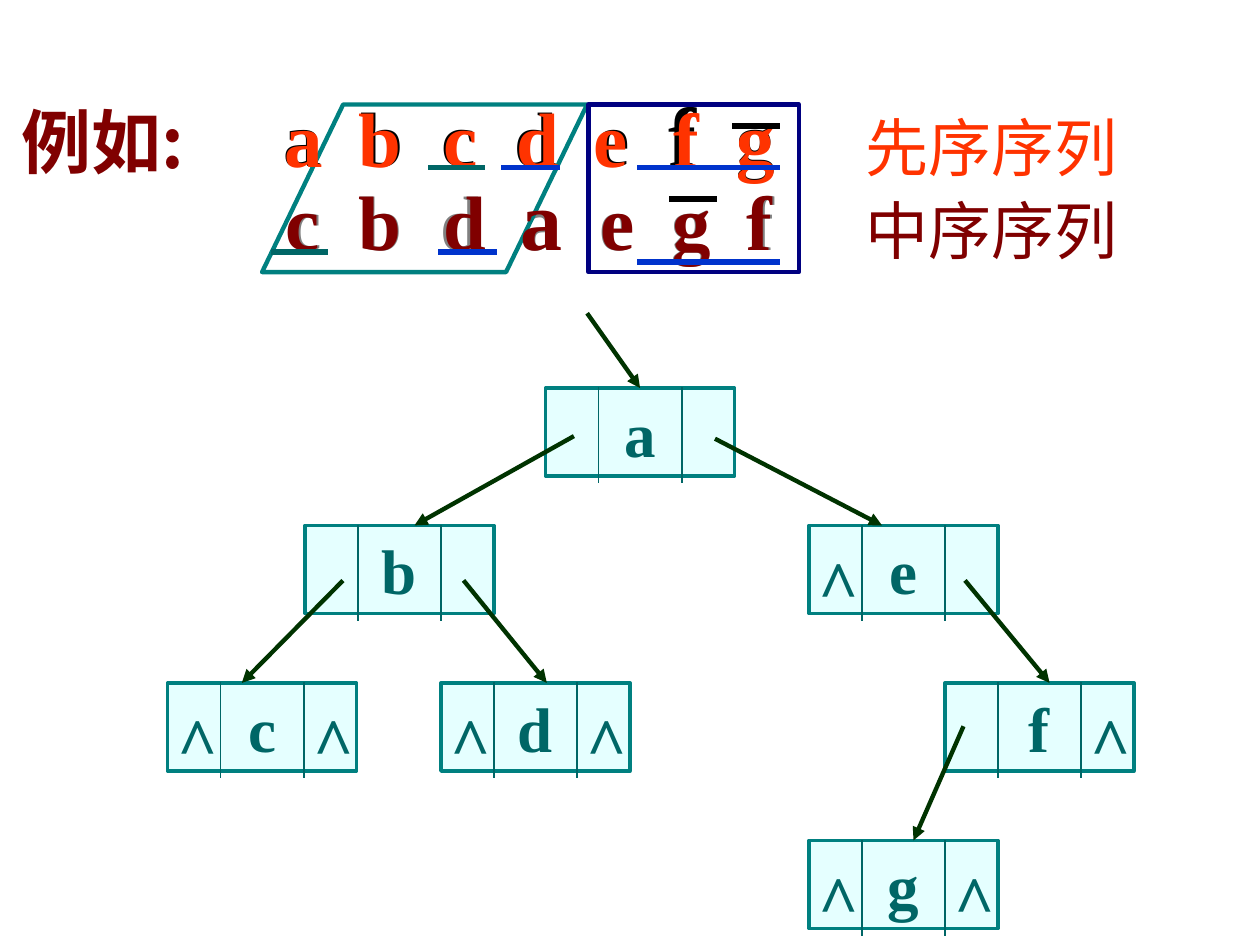
import pptx
import pptx.dml.color
import pptx.enum.shapes
import pptx.enum.text
import pptx.oxml.ns
import pptx.util
from lxml import etree
from pptx.dml.color import RGBColor
from pptx.util import Inches

BLACK = RGBColor(0x00, 0x00, 0x00)
GRAY = RGBColor(0x80, 0x80, 0x80)
ORANGE = RGBColor(0xFF, 0x33, 0x00)
MAROON = RGBColor(0x80, 0x00, 0x00)
TEAL = RGBColor(0x00, 0x80, 0x80)
DARK_TEAL = RGBColor(0x00, 0x66, 0x66)
NAVY = RGBColor(0x00, 0x00, 0x80)
BLUE = RGBColor(0x00, 0x33, 0xCC)
GREEN = RGBColor(0x00, 0x33, 0x00)
CYAN = RGBColor(0xCC, 0xFF, 0xFF)
SERIF = "Times New Roman"
CJK = "Noto Sans CJK SC"

deck = pptx.Presentation()
deck.slide_width, deck.slide_height = Inches(10), Inches(7.5)
page = deck.slides.add_slide(deck.slide_layouts[6])
qn = pptx.oxml.ns.qn
SHAPES = pptx.enum.shapes.MSO_SHAPE


def add_text(left, top, width, height, spans, bold=True, font=SERIF, wrap=False):
    """Add a text box; spans are (text, size, colour)."""
    box = page.shapes.add_textbox(Inches(left), Inches(top), Inches(width), Inches(height))
    box.text_frame.word_wrap = wrap
    box.text_frame.auto_size = pptx.enum.text.MSO_AUTO_SIZE.SHAPE_TO_FIT_TEXT
    para = box.text_frame.paragraphs[0]
    for text, size, color in spans:
        span = para.add_run()
        span.text = text
        span.font.name = font
        span.font.size = pptx.util.Pt(size)
        span.font.bold = bold
        span.font.color.rgb = color
        latin = span.font._element.find(qn("a:latin"))
        latin.addnext(latin.makeelement(qn("a:ea"), {"typeface": CJK}))
    return para


def add_line(x1, y1, x2, y2, color, weight, arrow=False):
    line = page.shapes.add_connector(
        pptx.enum.shapes.MSO_CONNECTOR.STRAIGHT,
        Inches(x1), Inches(y1), Inches(x2), Inches(y2))
    line.line.color.rgb = color
    line.line.width = pptx.util.Pt(weight)
    outline = line.line._get_or_add_ln()
    outline.set("cap", "sq")
    if arrow:
        etree.SubElement(outline, qn("a:tailEnd"), type="triangle")
    etree.SubElement(line._element.spPr, qn("a:effectLst"))
    return line


# Sequences underneath the coloured letters, wide enough to stay on one line
add_text(2.15, 0.61, 4.6, 0.9, [("a  b  c  d  e  ", 44, BLACK), ("f ", 48, BLACK), (" g", 44, BLACK)],
         wrap=True)
add_text(2.18, 1.33, 4.6, 0.84, [("c  b  d  a  e  g  f", 44, GRAY)], wrap=True)
add_text(0.07, 0.73, 1.77, 0.77, [("例如:", 40, MAROON)], font=CJK)

# Frames around the left and right subtrees
for kind, left, width, color in [(SHAPES.PARALLELOGRAM, 2.08, 2.58, TEAL),
                                 (SHAPES.RECTANGLE, 4.67, 1.67, NAVY)]:
    frame = page.shapes.add_shape(kind, Inches(left), Inches(0.83), Inches(width), Inches(1.33))
    frame.shadow.inherit = False
    frame.fill.background()
    frame.line.color.rgb = color
    frame.line.width = pptx.util.Pt(2.5)
    if kind == SHAPES.PARALLELOGRAM:
        frame.adjustments[0] = 0.484

# Coloured letters: preorder above, inorder below
preorder = [("a", 2.16, 0.5), ("b", 2.75, 0.69), ("c", 3.42, 0.47), ("d", 4, 0.54),
            ("e", 4.61, 0.47), ("f", 5.25, 0.5), ("g", 5.75, 0.5)]
inorder = [("c", 2.17, 0.47), ("b", 2.75, 0.54), ("d", 3.42, 0.54),
           ("e", 4.67, 0.47), ("g", 5.24, 0.5), ("f", 5.83, 0.58)]
for letters, top, color in [(preorder, 0.67, ORANGE), (inorder, 1.33, MAROON)]:
    for letter, left, width in letters:
        add_text(left, top, width, 0.84, [(letter, 44, color)], wrap=letter == "f")
add_text(4.03, 1.27, 0.53, 0.9, [("a", 48, MAROON)])

# Tree nodes: letter, left, top, empty left link, empty right link
nodes = {}
for letter, left, top, no_left, no_right in [
        ("a", 4.33, 3.08, False, False), ("b", 2.42, 4.17, False, False),
        ("c", 1.33, 5.42, True, True), ("d", 3.5, 5.42, True, True),
        ("e", 6.42, 4.17, True, False), ("f", 7.5, 5.42, False, True),
        ("g", 6.42, 6.67, True, True)]:
    node = page.shapes.add_shape(SHAPES.RECTANGLE, Inches(left), Inches(top), Inches(1.5), Inches(0.7))
    nodes[letter] = node
    node.shadow.inherit = False
    node.fill.solid()
    node.fill.fore_color.rgb = CYAN
    fill_color = node._element.spPr.find(qn("a:solidFill"))[0]
    etree.SubElement(fill_color, qn("a:alpha"), val="50000")
    node.line.color.rgb = TEAL
    node.line.width = pptx.util.Pt(2)
    para = node.text_frame.paragraphs[0]
    para.alignment = pptx.enum.text.PP_ALIGN.CENTER
    span = para.add_run()
    span.text = letter
    span.font.name = SERIF
    span.font.size = pptx.util.Pt(36)
    span.font.bold = True
    span.font.color.rgb = DARK_TEAL
    for offset in (0.42, 1.08):
        add_line(left + offset, top, left + offset, top + 0.75, DARK_TEAL, 1)
    for empty, offset in [(no_left, -0.02), (no_right, 1.06)]:
        if empty:
            add_text(left + offset, top + 0.07, 0.52, 0.77, [("^", 40, DARK_TEAL)])

# Sequence names
para = add_text(6.77, 0.75, 2.23, 1.42, [("先序序列", 36, ORANGE), ("中序序列", 36, MAROON)],
                bold=False, wrap=True)
para.line_spacing = 1.1

# Marks under and over the letters
for start, end, y, color in [
        (3.42, 3.83, 1.33, DARK_TEAL), (4, 4.42, 1.33, BLUE), (5.08, 6.17, 1.33, BLUE),
        (2.17, 2.58, 2, DARK_TEAL), (3.5, 3.92, 2, BLUE), (5.08, 6.17, 2.08, BLUE),
        (5.83, 6.17, 1, BLACK), (5.33, 5.67, 1.58, BLACK)]:
    add_line(start, y, end, y, color, 3)

# Links between nodes
root_link = add_line(4.67, 2.5, 5.08, 3.08, GREEN, 2.5, arrow=True)
root_link.end_connect(nodes["a"], 0)
for x1, y1, x2, y2 in [
        (4.54, 3.47, 3.29, 4.17), (2.71, 4.62, 1.92, 5.42), (7.67, 4.62, 8.33, 5.42),
        (5.69, 3.49, 7, 4.17), (7.64, 5.78, 7.25, 6.67), (3.69, 4.62, 4.34, 5.42)]:
    add_line(x1, y1, x2, y2, GREEN, 2.5, arrow=True)

deck.save("out.pptx")
